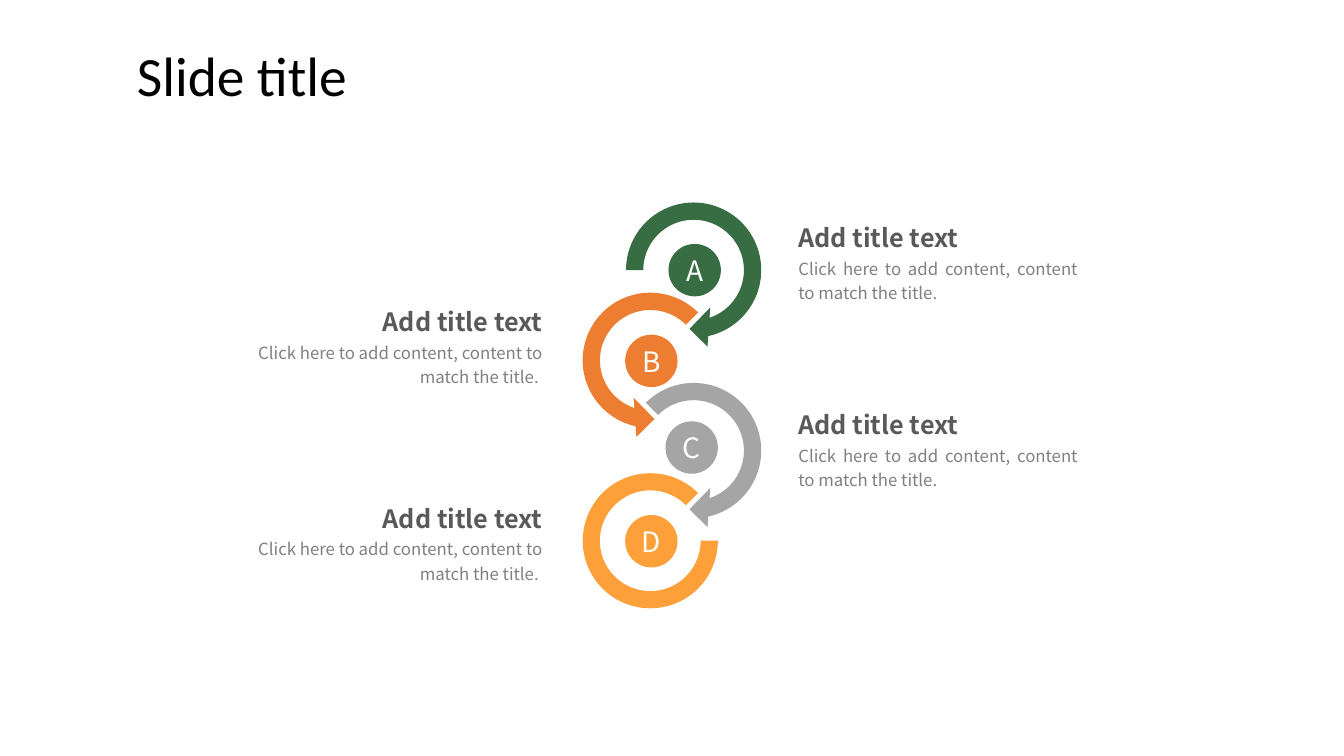
from pptx import Presentation
from pptx.dml.color import RGBColor
from pptx.enum.shapes import MSO_SHAPE
from pptx.enum.text import MSO_ANCHOR, PP_ALIGN
from pptx.util import Inches, Pt

CLOCKWISE = MSO_SHAPE.CIRCULAR_ARROW
COUNTERCLOCKWISE = MSO_SHAPE.LEFT_CIRCULAR_ARROW
OPEN_RING = MSO_SHAPE.BLOCK_ARC
OVAL = MSO_SHAPE.OVAL
LEFT, RIGHT = PP_ALIGN.LEFT, PP_ALIGN.RIGHT
CENTER, JUSTIFY = PP_ALIGN.CENTER, PP_ALIGN.JUSTIFY
TOP, MIDDLE = MSO_ANCHOR.TOP, MSO_ANCHOR.MIDDLE

BLACK = RGBColor(0x00, 0x00, 0x00)
WHITE = RGBColor(0xFF, 0xFF, 0xFF)
HEADING_GRAY = RGBColor(0x59, 0x59, 0x59)
BODY_GRAY = RGBColor(0x80, 0x80, 0x80)
GREEN = RGBColor(0x38, 0x6C, 0x42)
ORANGE = RGBColor(0xED, 0x7D, 0x31)
SILVER = RGBColor(0xA5, 0xA5, 0xA5)
AMBER = RGBColor(0xFE, 0xA0, 0x39)

TITLE_FONT = "Calibri"
BODY_FONT = "Noto Sans CJK SC"

ARROW_SIZE, ARC_SIZE, BADGE_SIZE = 1.56, 1.34, 0.52
RIGHT_X, LEFT_X = 6.88, 6.45          # centres of the two ring columns
FIRST_RING_Y, RING_STEP = 2.68, 0.895

# Back to front: letter, row, colour, ring shape, adjustments, badge centre
RINGS = [
    ("C", 2, SILVER, CLOCKWISE, (0.11, 11.42, 45, 135, 0.125), (6.86, 4.44)),
    ("D", 3, AMBER, OPEN_RING, (0, 189, 0.127), (6.46, 5.37)),
    ("B", 1, ORANGE, COUNTERCLOCKWISE, (0.11, 11.42, 63, 189, 0.125), (6.46, 3.58)),
    ("A", 0, GREEN, CLOCKWISE, (0.11, 11.42, 45, 108, 0.125), (6.89, 2.68)),
]

# Left, top, width of each caption and its alignment
CAPTIONS = [
    (7.82, 2.10, 2.97, JUSTIFY),
    (7.82, 3.95, 2.97, JUSTIFY),
    (2.29, 2.93, 3.19, RIGHT),
    (2.29, 4.88, 3.19, RIGHT),
]


def write(shape, text, font, size, color, align, bold=False, spacing=1.0, anchor=TOP):
    frame = shape.text_frame
    frame.word_wrap = True
    frame.vertical_anchor = anchor
    frame.text = text
    para = frame.paragraphs[0]
    para.alignment = align
    para.line_spacing = spacing
    span = para.runs[0]
    span.font.name = font
    span.font.size = Pt(size)
    span.font.bold = bold
    span.font.color.rgb = color


def add_text(page, left, top, width, height, *style, **options):
    box = page.shapes.add_textbox(Inches(left), Inches(top), Inches(width), Inches(height))
    write(box, *style, **options)


def add_centered(page, kind, x, y, size, color):
    shape = page.shapes.add_shape(
        kind, Inches(x - size / 2), Inches(y - size / 2), Inches(size), Inches(size))
    shape.shadow.inherit = False
    shape.fill.solid()
    shape.fill.fore_color.rgb = color
    shape.line.fill.background()
    return shape


def add_ring(page, letter, row, color, kind, adjustments, badge_center):
    # Rings alternate between the right and left columns
    x = LEFT_X if row % 2 else RIGHT_X
    y = FIRST_RING_Y + row * RING_STEP
    size = ARC_SIZE if kind == OPEN_RING else ARROW_SIZE
    ring = add_centered(page, kind, x, y, size, color)
    for index, value in enumerate(adjustments):
        ring.adjustments[index] = value

    # Lettered badge
    badge = add_centered(page, OVAL, *badge_center, BADGE_SIZE, color)
    frame = badge.text_frame
    frame.margin_left = frame.margin_right = frame.margin_top = frame.margin_bottom = 0
    write(badge, letter, BODY_FONT, 20, WHITE, CENTER, anchor=MIDDLE)


def add_caption(page, left, top, width, align):
    heading_width = 2.45
    heading_left = left + width - heading_width if align == RIGHT else left
    add_text(page, left, top + 0.38, width, 0.59,
             "Click here to add content, content to match the title. ",
             BODY_FONT, 12, BODY_GRAY, align, spacing=1.2)
    add_text(page, heading_left, top, heading_width, 0.44, "Add title text",
             BODY_FONT, 18, HEADING_GRAY, align, bold=True, spacing=1.2)


def main():
    deck = Presentation()
    deck.slide_width, deck.slide_height = Inches(13.33), Inches(7.5)
    page = deck.slides.add_slide(deck.slide_layouts[6])

    # Slide title
    add_text(page, 1.26, 0.4, 11.5, 0.75, "Slide title",
             TITLE_FONT, 39.6, BLACK, LEFT, spacing=0.9, anchor=MIDDLE)

    # Chain of rings
    for ring in RINGS:
        add_ring(page, *ring)

    # Captions on both sides
    for caption in CAPTIONS:
        add_caption(page, *caption)

    deck.save("out.pptx")


if __name__ == "__main__":
    main()
